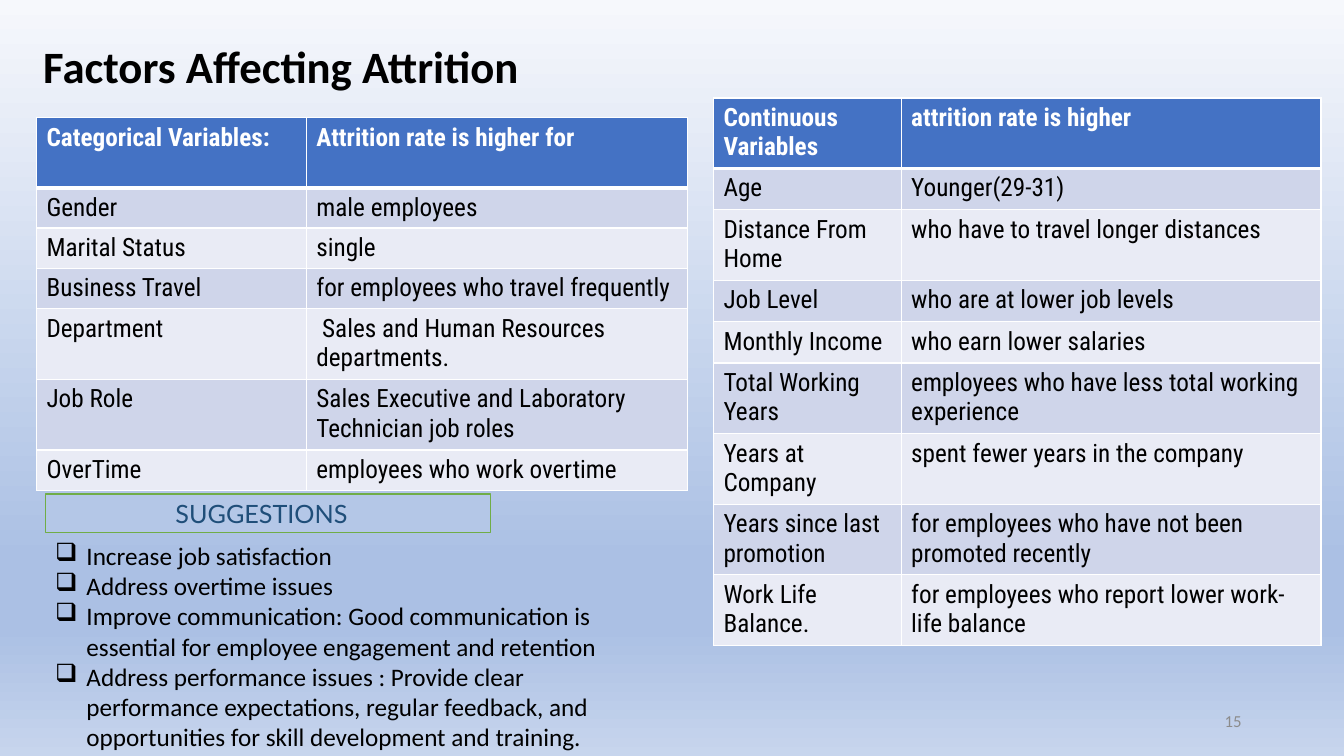
from copy import deepcopy

from lxml.etree import SubElement
from pptx import Presentation
from pptx.dml.color import RGBColor
from pptx.enum.shapes import MSO_SHAPE as Shape
from pptx.enum.text import MSO_ANCHOR as Anchor, PP_ALIGN as Align
from pptx.oxml.ns import qn
from pptx.util import Cm, Pt

WHITE = RGBColor(0xFF, 0xFF, 0xFF)
BLACK = RGBColor(0x00, 0x00, 0x00)
GREY = RGBColor(0x8C, 0x8C, 0x8C)
NAVY = RGBColor(0x1F, 0x4E, 0x79)
GREEN = RGBColor(0x70, 0xAD, 0x47)
LABEL_BLUE = RGBColor(0xB4, 0xC7, 0xE7)
HEADER_BLUE = RGBColor(0x44, 0x72, 0xC4)
BANDS = (RGBColor(0xCF, 0xD5, 0xEA), RGBColor(0xE9, 0xEB, 0xF5))
SKY = (
    (0, RGBColor(0xF6, 0xF8, 0xFC)),
    (0.74, RGBColor(0xAB, 0xC0, 0xE4)),
    (0.83, RGBColor(0xAB, 0xC0, 0xE4)),
    (1, RGBColor(0xC7, 0xD5, 0xED)),
)

BODY_FONT, TABLE_FONT, LABEL_FONT = "Calibri", "Roboto Condensed", "Lato"

CATEGORICAL = (
    ("Categorical Variables:", "Attrition rate is higher for"),
    ("Gender", "male employees"),
    ("Marital Status", "single"),
    ("Business Travel", "for employees who travel frequently"),
    ("Department", " Sales and Human Resources departments."),
    ("Job Role", "Sales Executive and Laboratory Technician job roles"),
    ("OverTime", "employees who work overtime"),
)
CONTINUOUS = (
    ("Continuous Variables", "attrition rate is higher"),
    ("Age", "Younger(29-31)"),
    ("Distance From Home", "who have to travel longer distances"),
    ("Job Level", "who are at lower job levels"),
    ("Monthly Income", "who earn lower salaries"),
    ("Total Working Years", "employees who have less total working experience"),
    ("Years at Company", "spent fewer years in the company"),
    ("Years since last promotion", "for employees who have not been promoted recently"),
    ("Work Life Balance.", "for employees who report lower work-life balance"),
)
SUGGESTIONS = (
    "Increase job satisfaction",
    "Address overtime issues",
    "Improve communication: Good communication is essential for employee "
    "engagement and retention",
    "Address performance issues : Provide clear performance expectations, "
    "regular feedback, and opportunities for skill development and training.",
)


def add_span(para, text, size=18, font=BODY_FONT, color=BLACK, bold=False):
    span = para.add_run()
    span.text = text
    span.font.size = Pt(size)
    span.font.name = font
    span.font.color.rgb = color
    span.font.bold = bold


def add_text_frame(page, box):
    frame = page.shapes.add_textbox(*box).text_frame
    frame.word_wrap = True
    return frame


def paint_background(page):
    fill = page.background.fill
    fill.gradient()
    fill.gradient_angle = 270
    stop_list = next(page.element.iter(qn("a:gsLst")))
    while len(stop_list) < len(SKY):
        stop_list.append(deepcopy(stop_list[0]))
    for stop, (position, color) in zip(fill.gradient_stops, SKY):
        stop.position = position
        stop.color.rgb = color


def add_title(page, box):
    add_span(add_text_frame(page, box).paragraphs[0],
             "Factors Affecting Attrition", size=32, bold=True)


def add_page_number(page, box):
    frame = add_text_frame(page, box)
    frame.vertical_anchor = Anchor.MIDDLE
    para = frame.paragraphs[0]
    para.alignment = Align.RIGHT
    add_span(para, "15", size=12, color=GREY)


def set_borders(cell, **widths):
    """Draw white borders, given in points for L, R, T and B."""
    properties = cell._tc.get_or_add_tcPr()
    for index, side in enumerate("LRTB"):
        line = SubElement(properties, qn(f"a:ln{side}"),
                          w=str(Pt(widths.get(side, 1))))
        fill = SubElement(line, qn("a:solidFill"))
        SubElement(fill, qn("a:srgbClr"), val=str(WHITE))
        properties.insert(index, line)


def add_factor_table(page, box, rows, first_column, header_height, row_height):
    left, top, width, height = box
    frame = page.shapes.add_table(len(rows), 2, left, top, width, height)
    table = frame.table
    table.columns[0].width = first_column
    table.columns[1].width = width - first_column
    for r, texts in enumerate(rows):
        header = r == 0
        table.rows[r].height = header_height if header else row_height
        for c, text in enumerate(texts):
            cell = table.cell(r, c)
            cell.fill.solid()
            cell.fill.fore_color.rgb = HEADER_BLUE if header else BANDS[(r - 1) % 2]
            set_borders(cell, T=3 if r == 1 else 1, B=3 if header else 1)
            add_span(cell.text_frame.paragraphs[0], text, font=TABLE_FONT,
                     color=WHITE if header else BLACK, bold=header)
    frame.height = height


def add_bullet(para, indent):
    properties = para._p.get_or_add_pPr()
    properties.set("marL", str(indent))
    properties.set("indent", str(-indent))
    SubElement(properties, qn("a:buFont"), typeface="Wingdings 2")
    properties.remove(properties[-1])
    SubElement(properties, qn("a:buChar"), char="❑")


def add_suggestions(page, box):
    """Place a framed label with the bulleted list under it."""
    left, top, width, height = box
    label_height, list_offset = Cm(0.97), Cm(1.04)
    label = page.shapes.add_shape(Shape.RECTANGLE, left, top, Cm(11.23), label_height)
    label.shadow.inherit = False
    label.fill.solid()
    label.fill.fore_color.rgb = LABEL_BLUE
    label.line.color.rgb = GREEN
    label.line.width = Pt(1)
    label.text_frame.vertical_anchor = Anchor.MIDDLE
    para = label.text_frame.paragraphs[0]
    para.alignment = Align.CENTER
    add_span(para, "SUGGESTIONS  ", font=LABEL_FONT, color=NAVY)

    frame = add_text_frame(page, (left, top + list_offset, width, height - list_offset))
    for index, text in enumerate(SUGGESTIONS):
        para = frame.add_paragraph() if index else frame.paragraphs[0]
        add_bullet(para, Cm(0.79))
        add_span(para, text)


def main():
    deck = Presentation()
    deck.slide_width, deck.slide_height = Cm(33.87), Cm(19.05)
    page = deck.slides.add_slide(deck.slide_layouts[6])
    paint_background(page)
    add_page_number(page, (Cm(23.92), Cm(17.66), Cm(7.62), Cm(1.01)))
    add_factor_table(page, (Cm(0.92), Cm(2.97), Cm(16.41), Cm(9.4)), CATEGORICAL,
                     Cm(6.8), Cm(1.76), Cm(0.84))
    add_title(page, (Cm(0.84), Cm(0.84), Cm(30.68), Cm(1.62)))
    add_factor_table(page, (Cm(17.98), Cm(2.47), Cm(15.31), Cm(13.77)), CONTINUOUS,
                     Cm(4.73), Cm(1.04), Cm(1.04))
    add_suggestions(page, (Cm(1.14), Cm(12.45), Cm(15.77), Cm(6.68)))
    deck.save("out.pptx")


if __name__ == "__main__":
    main()
